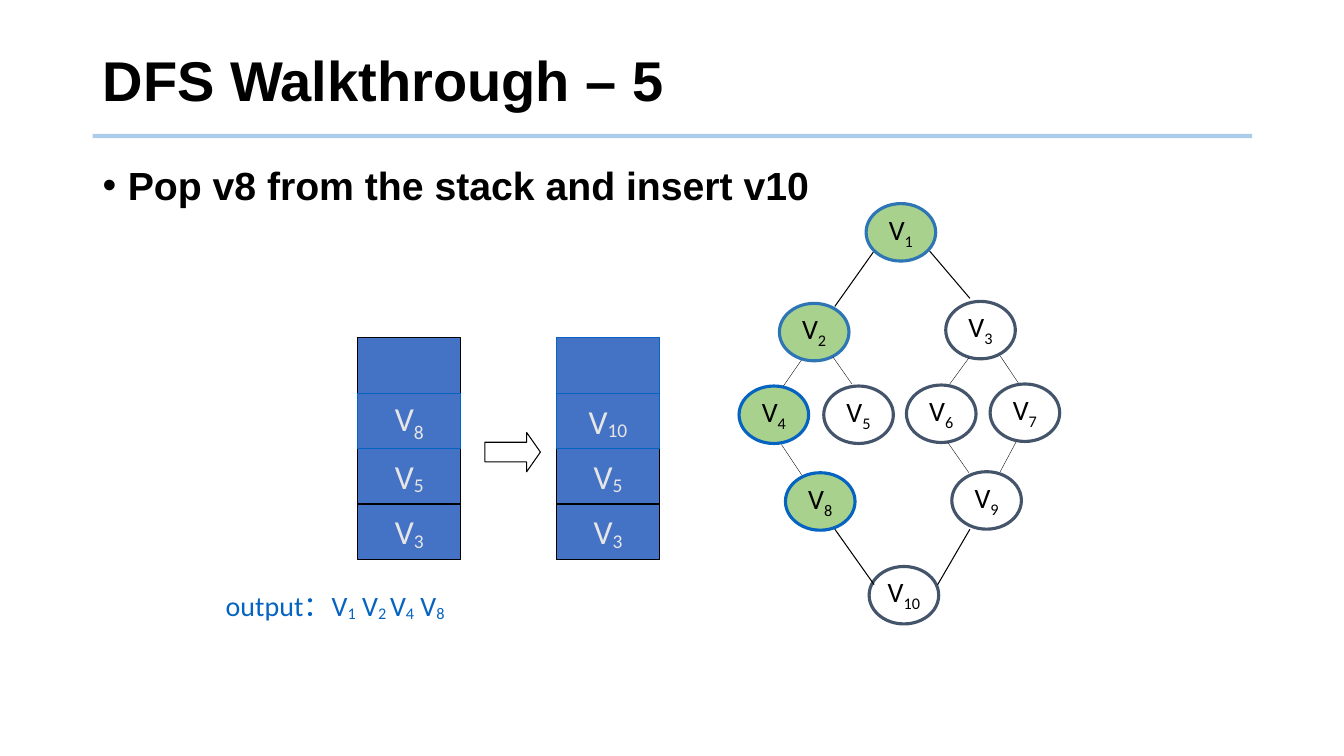
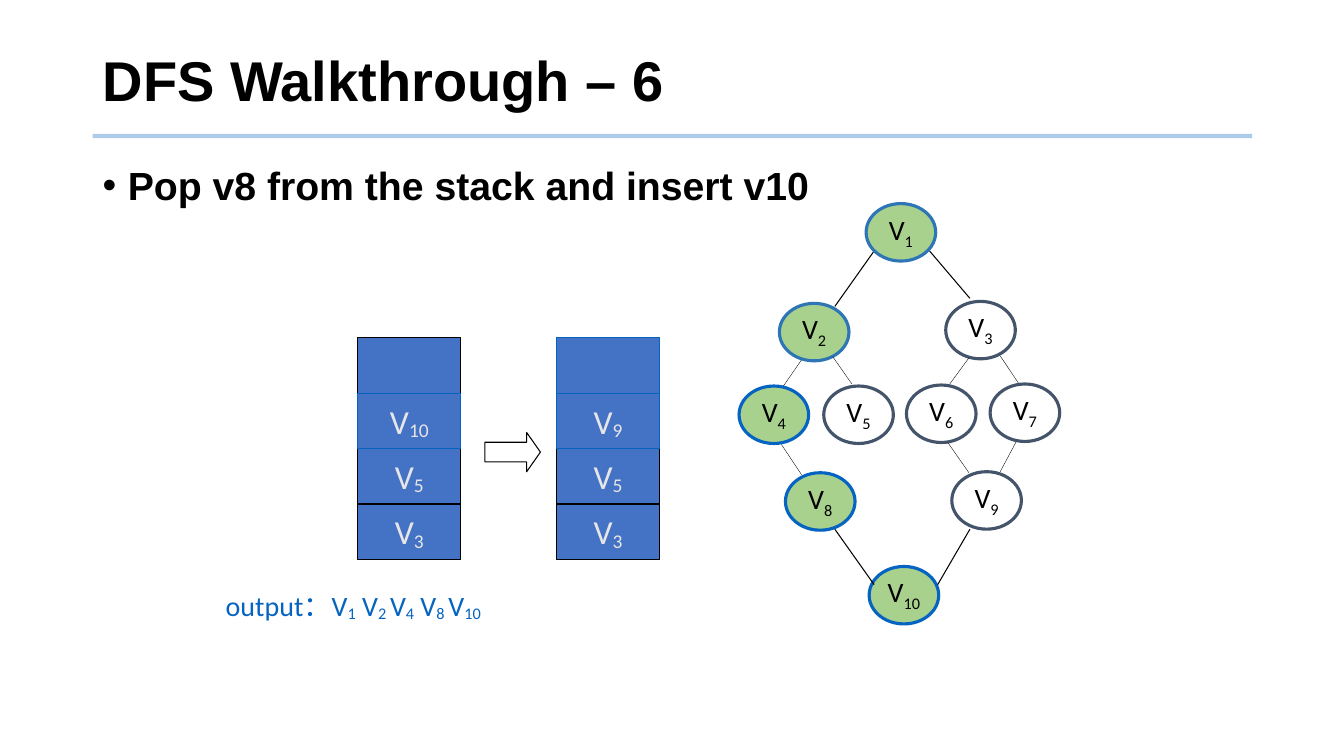
from dataclasses import dataclass

from lxml import etree
from pptx import Presentation
from pptx.dml.color import RGBColor
from pptx.enum.shapes import MSO_CONNECTOR, MSO_SHAPE
from pptx.enum.text import MSO_ANCHOR, PP_ALIGN
from pptx.oxml.ns import qn
from pptx.util import Inches, Pt

STRAIGHT = MSO_CONNECTOR.STRAIGHT
OVAL, RECT, ARROW = MSO_SHAPE.OVAL, MSO_SHAPE.RECTANGLE, MSO_SHAPE.RIGHT_ARROW
TOP, MIDDLE = MSO_ANCHOR.TOP, MSO_ANCHOR.MIDDLE
LEFT, CENTER = PP_ALIGN.LEFT, PP_ALIGN.CENTER

COLORS = {
    "black": "000000",
    "rule": "5B9BD5",
    "visited": "A9D18E",
    "early": "2E75B6",
    "blue": "0563C1",
    "unvisited": "44546A",
    "cell": "4472C4",
    "cell_text": "E7E6E6",
}
HEAD_FONT, BODY_FONT = "Arial", "Calibri"
NODE_W, NODE_H = 0.69, 0.57
CELL_W, CELL_H, STACK_BOTTOM = 1.02, 0.55, 5.55


@dataclass(frozen=True)
class Node:
    number: int
    x: float
    y: float
    visited_line: str = "blue"


@dataclass(frozen=True)
class Edge:
    x1: float
    y1: float
    x2: float
    y2: float
    width: float = 0.25


@dataclass(frozen=True)
class Cell:
    label: str = ""
    line: str = "black"
    drop: int = -10


@dataclass(frozen=True)
class Step:
    title: str
    visited: frozenset[int]
    before: Cell
    after: Cell
    output: str
    output_w: float


NODES = [
    Node(2, 7.73, 3.01, "early"),
    Node(4, 7.33, 3.83),
    Node(5, 8.17, 3.83),
    Node(8, 7.79, 4.69),
    Node(10, 8.62, 5.62),
    Node(3, 9.38, 2.99),
    Node(6, 8.99, 3.82),
    Node(7, 9.82, 3.81),
    Node(9, 9.44, 4.68),
]
ROOT = Node(1, 8.59, 2.02, "early")
EDGES = [
    Edge(7.95, 3.57, 7.77, 3.83),
    Edge(8.26, 3.54, 8.45, 3.81),
    Edge(7.75, 4.41, 7.95, 4.71),
    Edge(9.61, 3.55, 9.42, 3.81),
    Edge(9.92, 3.53, 10.1, 3.8),
    Edge(9.4, 4.39, 9.61, 4.69),
    Edge(10.08, 4.38, 9.92, 4.68),
    Edge(8.67, 2.49, 8.28, 3.04, 0.75),
    Edge(8.28, 5.25, 8.67, 5.8, 0.75),
    Edge(9.22, 2.49, 9.62, 2.96, 0.75),
    Edge(9.62, 5.25, 9.3, 5.8, 0.75),
]
STEPS = [
    Step("DFS Walkthrough – 5", frozenset({1, 2, 4, 8}),
         Cell("V|8", "blue", -25), Cell("V|10", "blue"),
         "output：V|1| V|2 |V|4| V|8", 2.49),
    Step("DFS Walkthrough – 6", frozenset({1, 2, 4, 8, 10}),
         Cell("V|10", "blue"), Cell("V|9", "blue"),
         "output：V|1| V|2 |V|4| V|8 |V|10", 3.88),
]


def rgb(name: str) -> RGBColor:
    return RGBColor.from_string(COLORS[name])


def add_text(sp, text: str, *, size: float, color: str = "black",
             font: str = BODY_FONT, bold: bool = False, align=LEFT,
             anchor=TOP, spacing: float = 1.0, before: float = 0,
             drop: int = -10, wrap: bool = True, inset: float | None = None):
    tf = sp.text_frame
    tf.word_wrap = wrap
    tf.vertical_anchor = anchor
    if inset is not None:
        tf.margin_left = tf.margin_right = Inches(inset)
        tf.margin_top = tf.margin_bottom = Inches(inset)
    p = tf.paragraphs[0]
    p.alignment = align
    p.line_spacing = spacing
    p.space_before = Pt(before)
    for i, part in enumerate(text.split("|")):
        r = p.add_run()
        r.text = part
        r.font.name = font
        r.font.size = Pt(size)
        r.font.bold = bold
        r.font.color.rgb = rgb(color)
        if i % 2:
            r._r.get_or_add_rPr().set("baseline", str(drop * 1000))
    return p


def add_box(s, x: float, y: float, w: float, h: float):
    return s.shapes.add_textbox(Inches(x), Inches(y), Inches(w), Inches(h))


def add_shape(s, kind, x: float, y: float, w: float, h: float, *,
              fill: str | None, line: str, width: float = 0.75):
    sp = s.shapes.add_shape(kind, Inches(x), Inches(y), Inches(w), Inches(h))
    sp.shadow.inherit = False
    if fill:
        sp.fill.solid()
        sp.fill.fore_color.rgb = rgb(fill)
    else:
        sp.fill.background()
    sp.line.color.rgb = rgb(line)
    sp.line.width = Pt(width)
    return sp


def add_line(s, edge: Edge, color: str = "black"):
    cx = s.shapes.add_connector(STRAIGHT, Inches(edge.x1), Inches(edge.y1),
                                Inches(edge.x2), Inches(edge.y2))
    cx.line.color.rgb = rgb(color)
    cx.line.width = Pt(edge.width)
    etree.SubElement(cx._element.spPr, qn("a:effectLst"))
    return cx


def add_frame(s, title: str, bullet: str) -> None:
    rule = add_line(s, Edge(0.92, 1.35, 12.42, 1.35, 3), "rule")
    clr = next(rule._element.spPr.iter(qn("a:srgbClr")))
    etree.SubElement(clr, qn("a:alpha")).set("val", "50000")
    add_text(add_box(s, 0.92, 0.28, 11.5, 1.1), title, size=40,
             font=HEAD_FONT, bold=True, anchor=MIDDLE, spacing=0.9)
    p = add_text(add_box(s, 0.92, 1.6, 11.5, 5.15), bullet, size=28,
                 font=HEAD_FONT, bold=True, spacing=0.9, before=10)
    pPr = p._p.get_or_add_pPr()
    pPr.set("marL", str(Inches(0.25)))
    pPr.set("indent", str(Inches(-0.25)))
    etree.SubElement(pPr, qn("a:buFont")).set("typeface", HEAD_FONT)
    etree.SubElement(pPr, qn("a:buChar")).set("char", "•")


def add_node(s, node: Node, visited: frozenset[int]) -> None:
    seen = node.number in visited
    sp = add_shape(s, OVAL, node.x, node.y, NODE_W, NODE_H,
                   fill="visited" if seen else None,
                   line=node.visited_line if seen else "unvisited", width=2.25)
    add_text(sp, f"V|{node.number}", size=20, align=CENTER, spacing=0.96,
             drop=-25, inset=0)


def add_graph(s, visited: frozenset[int]) -> None:
    for node in NODES:
        add_node(s, node, visited)
    for edge in EDGES:
        add_line(s, edge)
    add_node(s, ROOT, visited)


def add_stack(s, x: float, head: Cell, empty_line: str) -> None:
    cells = [Cell("V|3"), Cell("V|5"), head, Cell(line=empty_line)]
    levels = list(enumerate(cells, start=1))
    for level, cell in levels[:2] + levels[:1:-1]:
        sp = add_shape(s, RECT, x, STACK_BOTTOM - level * CELL_H, CELL_W,
                       CELL_H, fill="cell", line=cell.line)
        if cell.label:
            add_text(sp, cell.label, size=24, color="cell_text", align=CENTER,
                     anchor=MIDDLE, drop=cell.drop, wrap=False)


def add_step(prs, step: Step) -> None:
    s = prs.slides.add_slide(prs.slide_layouts[6])
    add_frame(s, step.title, "Pop v8 from the stack and insert v10")
    add_graph(s, step.visited)
    add_stack(s, 3.55, step.before, "black")
    add_stack(s, 5.52, step.after, "blue")
    arrow = add_shape(s, ARROW, 4.81, 4.29, 0.55, 0.39, fill=None, line="black")
    arrow.adjustments[0] = 0.5
    arrow.adjustments[1] = 0.35
    add_text(add_box(s, 2.14, 5.79, step.output_w, 0.44), step.output,
             size=20, color="blue")


def main() -> None:
    prs = Presentation()
    prs.slide_width, prs.slide_height = Inches(13.33), Inches(7.5)
    for step in STEPS:
        add_step(prs, step)
    prs.save("out.pptx")


if __name__ == "__main__":
    main()
